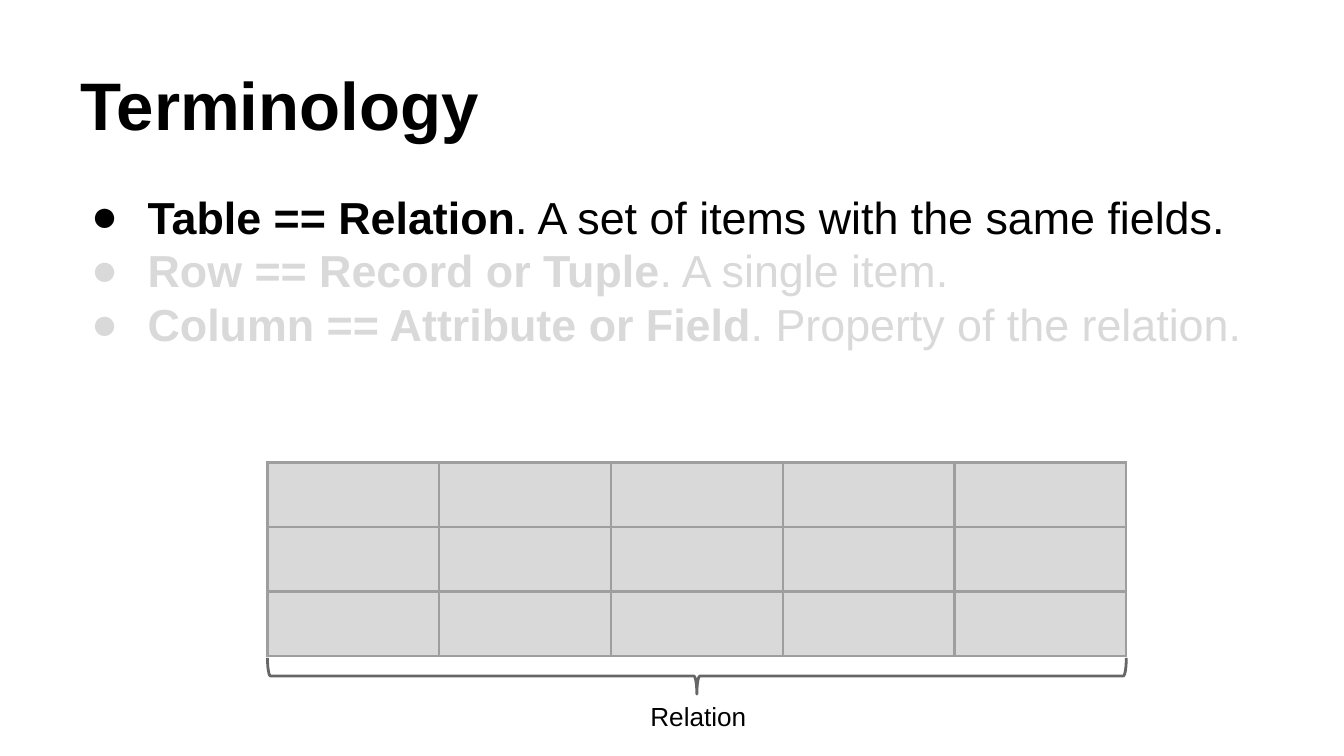
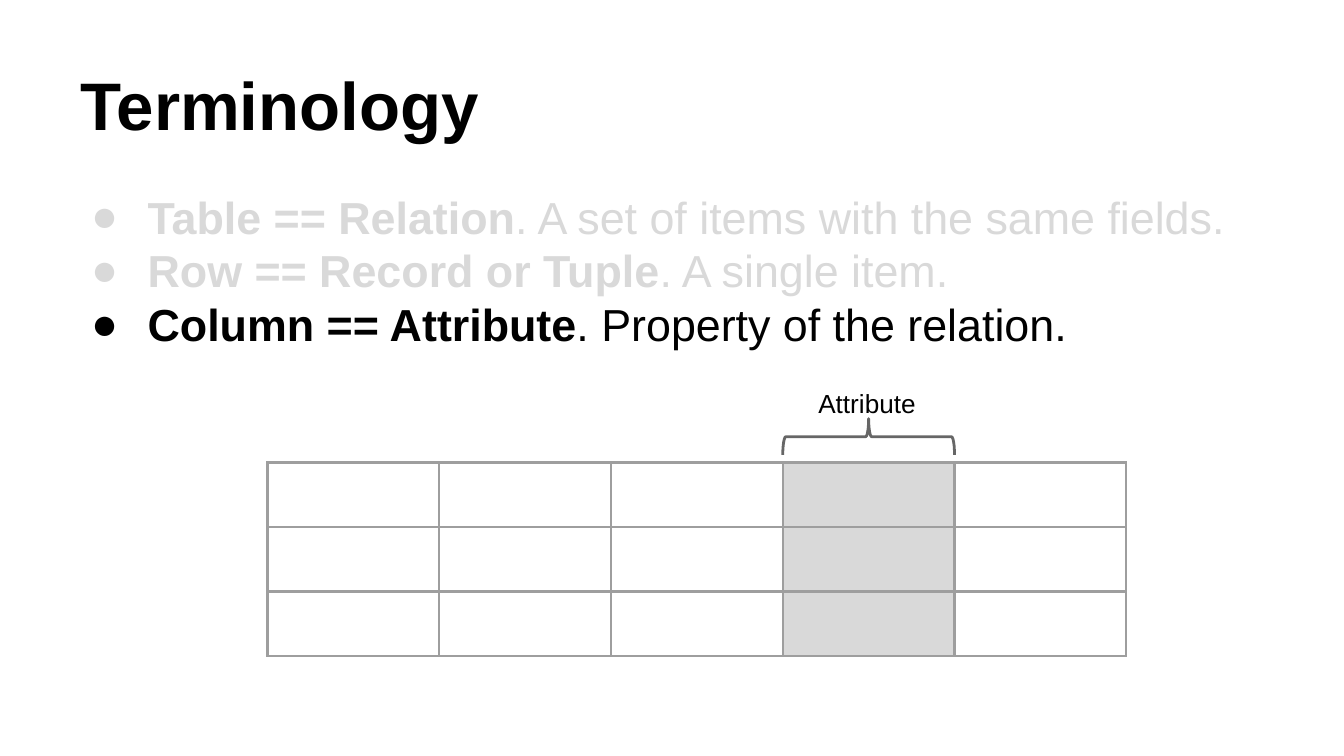
from dataclasses import dataclass

from lxml import etree
from pptx import Presentation
from pptx.dml.color import RGBColor
from pptx.enum.shapes import MSO_SHAPE as Preset
from pptx.enum.text import MSO_ANCHOR as Anchor, MSO_AUTO_SIZE as AutoSize, PP_ALIGN as Align
from pptx.oxml.ns import qn
from pptx.slide import Slide
from pptx.text.text import TextFrame, _Paragraph as Paragraph, _Run as Run
from pptx.util import Inches, Pt


@dataclass(frozen=True)
class Theme:
    font: str = "Arial"
    ink: str = "000000"
    muted: str = "D9D9D9"
    highlight: str = "D9D9D9"
    grid: str = "9E9E9E"
    brace: str = "666666"
    title_size: int = 36
    body_size: int = 24
    label_size: int = 14
    line_width: float = 1.5


@dataclass(frozen=True)
class Term:
    name: str
    meaning: str


@dataclass(frozen=True)
class Brace:
    label: str
    label_left: float
    label_top: float
    center_y: float
    rotation: int


@dataclass(frozen=True)
class TermSlide:
    terms: tuple[Term, ...]
    active: int
    columns: range  # highlighted columns, spanned by the brace
    brace: Brace


THEME = Theme()

# Grid of the sample relation, in inches
GRID_LEFT, GRID_TOP, GRID_WIDTH = 1.99, 3.44, 6.39
COLUMNS, ROWS = 5, 3
COLUMN_WIDTH, ROW_HEIGHT = GRID_WIDTH / COLUMNS, 0.48
BRACE_DEPTH = 0.27

TABLE = Term("Table == Relation", ". A set of items with the same fields.")
ROW = Term("Row == Record or Tuple", ". A single item.")
PROPERTY = ". Property of the relation."

SLIDES = (
    TermSlide(
        (TABLE, ROW, Term("Column == Attribute or Field", PROPERTY)),
        active=0,
        columns=range(COLUMNS),
        brace=Brace("Relation", 4.74, 5.11, 5.03, 270),
    ),
    TermSlide(
        (TABLE, ROW, Term("Column == Attribute", PROPERTY)),
        active=2,
        columns=range(3, 4),
        brace=Brace("Attribute", 5.99, 2.78, 3.25, 90),
    ),
)


def format_run(run: Run, size: int, color: str = THEME.ink, bold: bool = False) -> None:
    run.font.name = THEME.font
    run.font.size = Pt(size)
    run.font.bold = bold
    run.font.color.rgb = RGBColor.from_string(color)


def set_frame(frame: TextFrame, anchor: Anchor = Anchor.TOP) -> None:
    frame.word_wrap = True
    frame.auto_size = AutoSize.NONE
    frame.vertical_anchor = anchor
    frame.margin_left = frame.margin_right = Inches(0.1)
    frame.margin_top = frame.margin_bottom = Inches(0.1)


def add_text_box(slide: Slide, left: float, top: float, width: float, height: float) -> TextFrame:
    box = slide.shapes.add_textbox(Inches(left), Inches(top), Inches(width), Inches(height))
    set_frame(box.text_frame)
    return box.text_frame


def set_bullet(paragraph: Paragraph, color: str) -> None:
    properties = paragraph._p.get_or_add_pPr()
    properties.set("marL", str(Inches(0.5)))
    properties.set("indent", str(Inches(-0.42)))
    bullet_color = etree.SubElement(properties, qn("a:buClr"))
    etree.SubElement(bullet_color, qn("a:srgbClr"), val=color)
    etree.SubElement(properties, qn("a:buFont"), typeface=THEME.font)
    etree.SubElement(properties, qn("a:buChar"), char="●")


def set_title(slide: Slide, text: str) -> None:
    title = slide.shapes.title
    title.left, title.top = Inches(0.5), Inches(0.23)
    title.width, title.height = Inches(9), Inches(0.94)
    set_frame(title.text_frame, Anchor.BOTTOM)
    title.text_frame.text = text
    paragraph = title.text_frame.paragraphs[0]
    paragraph.alignment = Align.LEFT
    format_run(paragraph.runs[0], THEME.title_size, bold=True)


def add_terms(slide: Slide, terms: tuple[Term, ...], active: int) -> None:
    frame = add_text_box(slide, 0.5, 1.31, 9, 4.07)
    for index, term in enumerate(terms):
        paragraph = frame.add_paragraph() if index else frame.paragraphs[0]
        paragraph.space_before = Pt(0 if index else 6)
        color = THEME.ink if index == active else THEME.muted
        set_bullet(paragraph, color)
        for text, bold in ((term.name, True), (term.meaning, False)):
            run = paragraph.add_run()
            run.text = text
            format_run(run, THEME.body_size, color, bold)


def add_grid(slide: Slide, highlighted: range) -> None:
    table = slide.shapes.add_table(
        ROWS, COLUMNS, Inches(GRID_LEFT), Inches(GRID_TOP),
        Inches(GRID_WIDTH), Inches(ROWS * ROW_HEIGHT),
    ).table
    table.first_row = table.horz_banding = False
    for index in range(ROWS * COLUMNS):
        row, column = divmod(index, COLUMNS)
        cell = table.cell(row, column)
        # Borders come before the fill in the cell properties
        properties = cell._tc.get_or_add_tcPr()
        for side in ("lnL", "lnR", "lnT", "lnB"):
            line = etree.SubElement(properties, qn(f"a:{side}"), w=str(Pt(THEME.line_width)))
            fill = etree.SubElement(line, qn("a:solidFill"))
            etree.SubElement(fill, qn("a:srgbClr"), val=THEME.grid)
        if column in highlighted:
            cell.fill.solid()
            cell.fill.fore_color.rgb = RGBColor.from_string(THEME.highlight)
        else:
            cell.fill.background()


def add_brace(slide: Slide, brace: Brace, columns: range) -> None:
    # The brace is drawn upright, then turned about its centre
    span = len(columns) * COLUMN_WIDTH
    center_x = GRID_LEFT + columns.start * COLUMN_WIDTH + span / 2
    shape = slide.shapes.add_shape(
        Preset.LEFT_BRACE,
        Inches(center_x - BRACE_DEPTH / 2), Inches(brace.center_y - span / 2),
        Inches(BRACE_DEPTH), Inches(span),
    )
    shape.rotation = brace.rotation
    shape.shadow.inherit = False
    shape.fill.background()
    shape.line.color.rgb = RGBColor.from_string(THEME.brace)
    shape.line.width = Pt(THEME.line_width)

    frame = add_text_box(slide, brace.label_left, brace.label_top, 1.05, 0.44)
    frame.text = brace.label
    format_run(frame.paragraphs[0].runs[0], THEME.label_size)


def main() -> None:
    presentation = Presentation()
    # Widescreen, 16:9
    presentation.slide_width = Inches(10)
    presentation.slide_height = Inches(10 * 9 / 16)
    title_only = presentation.slide_layouts[5]
    for content in SLIDES:
        slide = presentation.slides.add_slide(title_only)
        set_title(slide, "Terminology")
        add_terms(slide, content.terms, content.active)
        add_grid(slide, content.columns)
        add_brace(slide, content.brace, content.columns)
    presentation.save("out.pptx")


if __name__ == "__main__":
    main()
